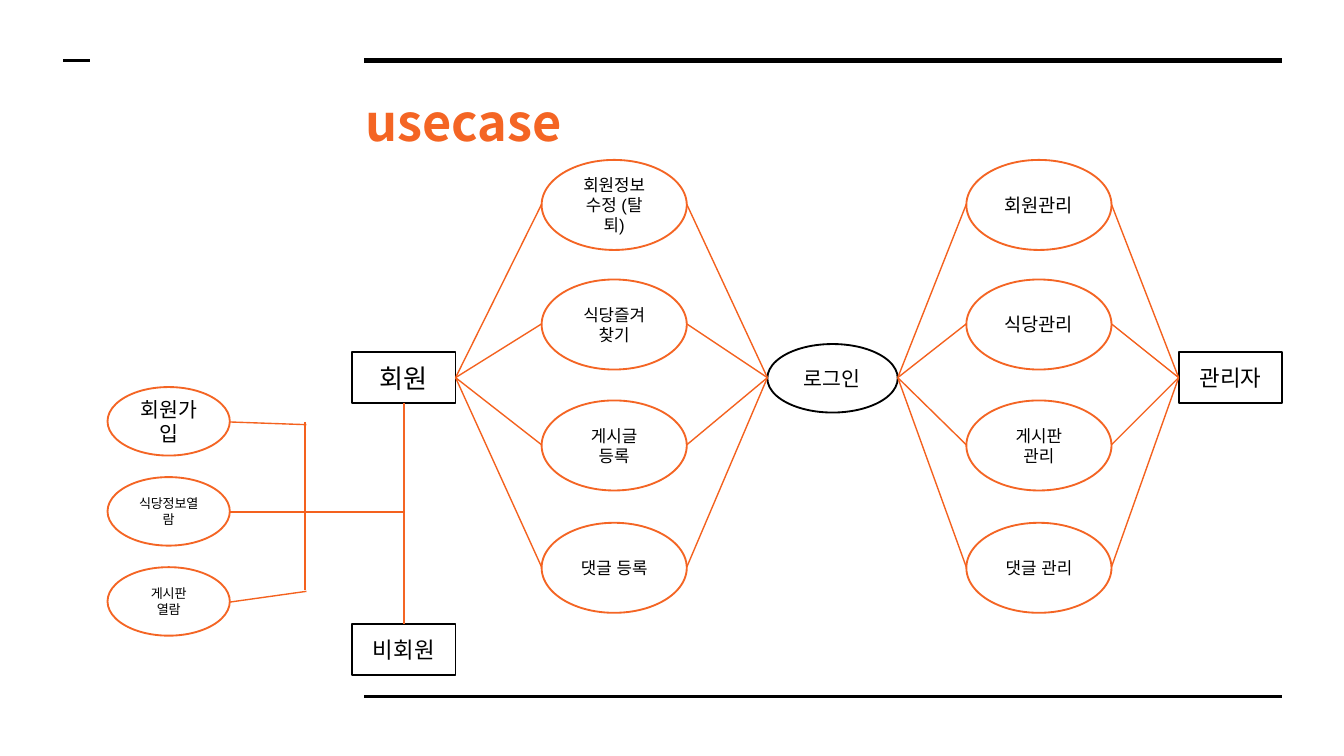
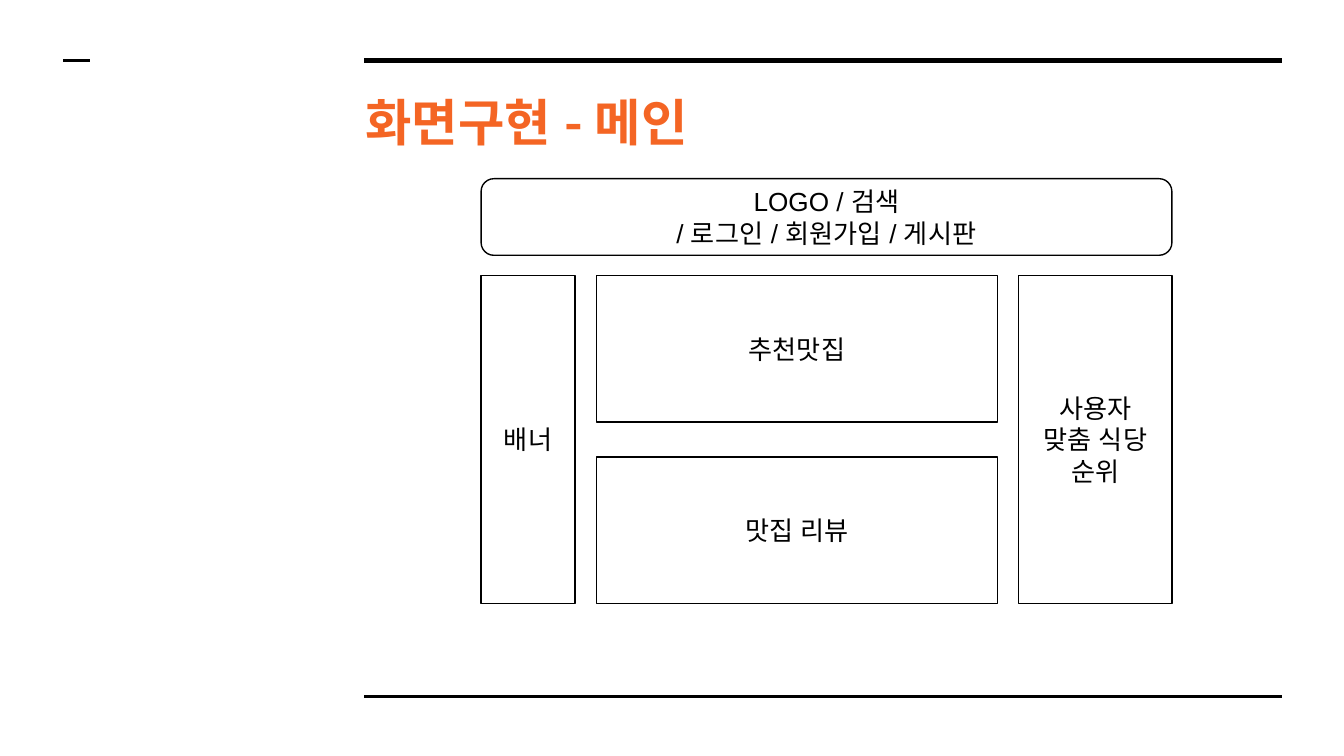
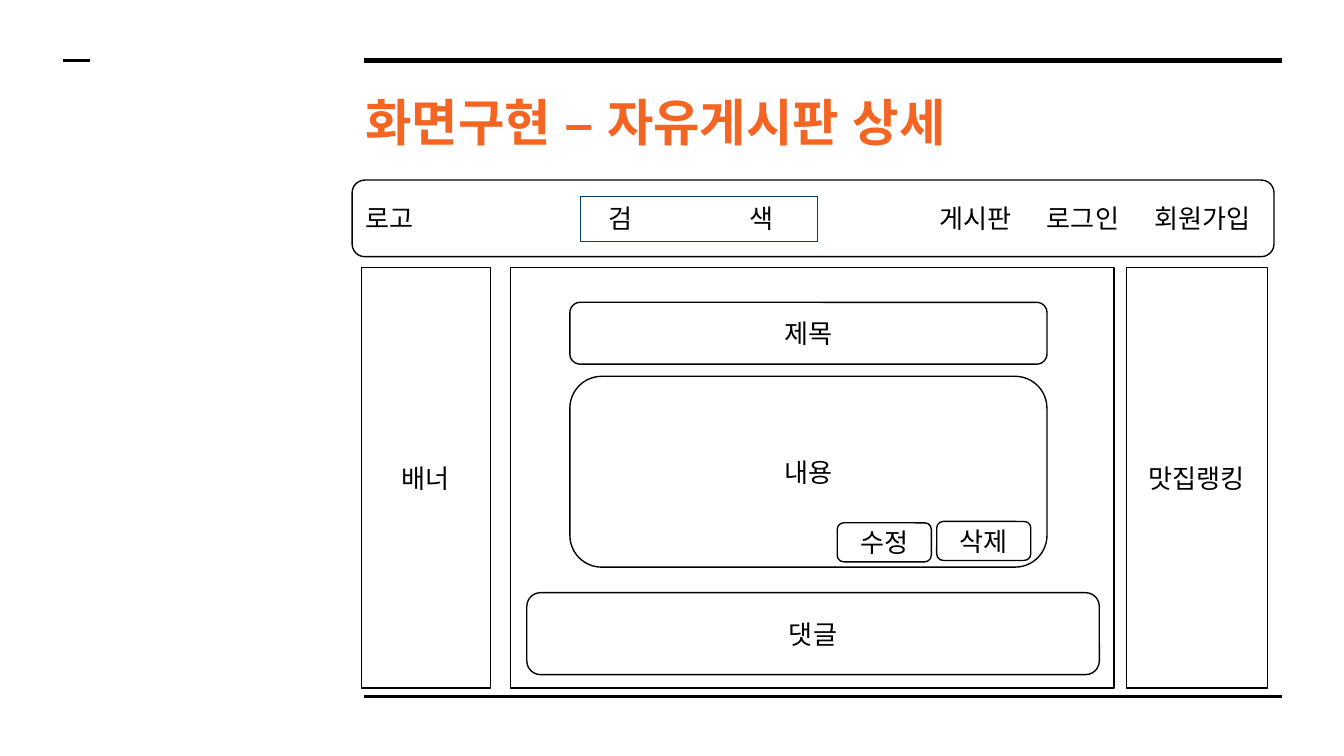
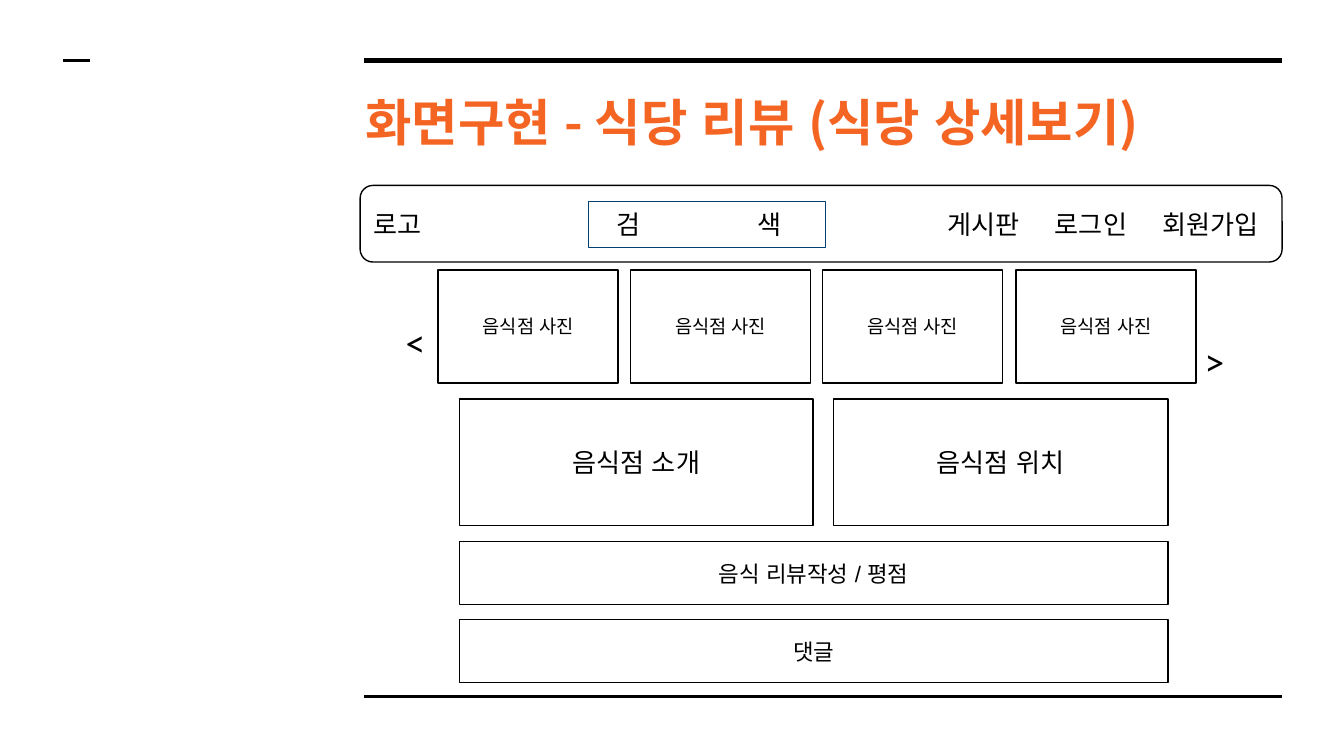
from dataclasses import dataclass

import pptx
import pptx.dml.color
import pptx.enum.shapes
import pptx.enum.text
import pptx.oxml.ns
import pptx.util
from lxml import etree

EMU_PER_PX = 9144  # 100 px to the inch
SHAPE = pptx.enum.shapes.MSO_SHAPE
ANCHOR = pptx.enum.text.MSO_ANCHOR
ALIGN = pptx.enum.text.PP_ALIGN
TOP, LEFT, BOTTOM, RIGHT = range(4)  # connection sites of a rectangle


@dataclass(frozen=True)
class Theme:
    ink: str = "000000"
    paper: str = "FFFFFF"
    accent: str = "F46524"
    link: str = "F4611E"
    search: str = "014073"
    title_font: str = "Noto Sans CJK KR"
    body_font: str = "Arial"
    arrow_font: str = "Lato"
    title_size: int = 27
    arrow_size: int = 20
    body_size: int = 14
    medium_size: int = 12
    node_size: int = 11
    small_size: int = 10
    case_size: int = 9
    tiny_size: int = 7
    heavy: float = 3
    rule: float = 1.5
    node_line: float = 1
    thin: float = 0.75
    hair: float = 0.5


THEME = Theme()


def px(length):
    return pptx.util.Emu(round(length * EMU_PER_PX))


def rgb(code):
    return pptx.dml.color.RGBColor.from_string(code)


# Text

def add_run(paragraph, text, size, font, color=THEME.ink, bold=False):
    run = paragraph.add_run()
    run.text = text
    run.font.size = pptx.util.Pt(size)
    run.font.name = font
    run.font.bold = bold
    run.font.color.rgb = rgb(color)
    east_asian = etree.SubElement(run.font._element, pptx.oxml.ns.qn("a:ea"))
    east_asian.set("typeface", THEME.body_font)


def set_insets(frame, side, edge):
    frame.margin_left = frame.margin_right = px(side)
    frame.margin_top = frame.margin_bottom = px(edge)


def add_label(slide, text, left, top, width, height=34, size=THEME.body_size,
              font=THEME.body_font, tab=None):
    box = slide.shapes.add_textbox(px(left), px(top), px(width), px(height))
    frame = box.text_frame
    frame.word_wrap = False
    set_insets(frame, 10, 5)
    paragraph = frame.paragraphs[0]
    if tab:
        properties = paragraph._p.get_or_add_pPr()
        stops = etree.SubElement(properties, pptx.oxml.ns.qn("a:tabLst"))
        etree.SubElement(stops, pptx.oxml.ns.qn("a:tab"), pos=str(px(tab)), algn="l")
    add_run(paragraph, text, size, font)
    return box


# Shapes and lines

def add_block(slide, bounds, text="", kind=SHAPE.RECTANGLE, size=THEME.body_size,
              fill=None, line=THEME.ink, weight=THEME.thin, edge=10):
    block = slide.shapes.add_shape(kind, *map(px, bounds))
    block.shadow.inherit = False
    if fill:
        block.fill.solid()
        block.fill.fore_color.rgb = rgb(fill)
    else:
        block.fill.background()
    block.line.color.rgb = rgb(line)
    block.line.width = pptx.util.Pt(weight)
    frame = block.text_frame
    frame.word_wrap = True
    frame.vertical_anchor = ANCHOR.MIDDLE
    set_insets(frame, 10, edge)
    for index, words in enumerate(text.split("\n") if text else []):
        paragraph = frame.add_paragraph() if index else frame.paragraphs[0]
        paragraph.alignment = ALIGN.CENTER
        add_run(paragraph, words, size, THEME.body_font)
    return block


def add_node(slide, bounds, text, size, kind=SHAPE.OVAL, line=THEME.accent):
    return add_block(slide, bounds, text, kind, size, THEME.paper, line,
                     THEME.node_line, edge=5)


def add_panel(slide, bounds, text):
    return add_block(slide, bounds, text, SHAPE.ROUNDED_RECTANGLE,
                     fill=THEME.paper, edge=5)


def add_line(slide, start, end, color=THEME.link, weight=THEME.thin):
    line = slide.shapes.add_connector(
        pptx.enum.shapes.MSO_CONNECTOR.STRAIGHT, *map(px, start + end))
    line.line.color.rgb = rgb(color)
    line.line.width = pptx.util.Pt(weight)
    etree.SubElement(line._element.spPr, pptx.oxml.ns.qn("a:effectLst"))
    return line


def add_fan(slide, hub, points, actor=None, side=None):
    """Join one hub to several points; an actor box holds its end."""
    for point in points:
        line = add_line(slide, hub, point)
        if actor is not None:
            line.begin_connect(actor, side)


# Parts that slides share

def start_slide(deck, title):
    slide = deck.slides.add_slide(deck.slide_layouts[6])
    for left, right, y, weight in ((271, 954, 45, THEME.heavy),
                                   (271, 954, 518, THEME.rule),
                                   (47, 67, 45, THEME.rule)):
        add_line(slide, (left, y), (right, y), THEME.ink, weight)
    heading = slide.shapes.add_textbox(px(262), px(63), px(691), px(69))
    frame = heading.text_frame
    frame.word_wrap = True
    frame.vertical_anchor = ANCHOR.TOP
    set_insets(frame, 10, 10)
    frame.paragraphs[0].line_spacing = 0.9
    add_run(frame.paragraphs[0], title, THEME.title_size, THEME.title_font,
            THEME.accent, bold=True)
    return slide


def add_navigation(slide, left, top):
    row = top + 12
    add_block(slide, (left + 170, row, 176, 34), fill=THEME.paper,
              line=THEME.search, weight=THEME.hair)
    add_block(slide, (left, top, 686, 57), kind=SHAPE.ROUNDED_RECTANGLE)
    for text, offset, width in (("로고", 0, 59), ("게시판", 427, 79),
                                ("로그인", 507, 79), ("회원가입", 587, 99)):
        add_label(slide, text, left + offset, row, width)
    add_label(slide, "검\t색", left + 181, row, 146, tab=105)


# Slides

def build_usecase(deck):
    slide = start_slide(deck, "usecase")

    # Actors and login
    member, manager, guest = [
        add_node(slide, (left, top, 77, 38), text, size, SHAPE.RECTANGLE, THEME.ink)
        for text, left, top, size in (("회원", 262, 262, THEME.body_size),
                                      ("관리자", 877, 262, THEME.medium_size),
                                      ("비회원", 262, 464, THEME.medium_size))]
    add_node(slide, (571, 256, 97, 51), "로그인", THEME.node_size, line=THEME.ink)

    # Cases open to everyone
    open_cases = (("회원가입", THEME.node_size), ("식당정보열람", THEME.tiny_size),
                  ("게시판 열람", THEME.tiny_size))
    for index, (text, size) in enumerate(open_cases):
        add_node(slide, (80, 288 + 67 * index, 91, 51), text, size)

    # Cases of members and managers
    case_tops = (119, 208, 298, 389)
    case_width, case_height = 108, 67
    member_left, manager_left = 403, 719
    member_cases = (("회원정보수정 (탈퇴)", THEME.case_size),
                    ("식당즐겨찾기", THEME.case_size),
                    ("게시글 등록", THEME.case_size), ("댓글 등록", THEME.case_size))
    manager_cases = (("회원관리", THEME.small_size), ("식당관리", THEME.small_size),
                     ("게시판 관리", THEME.case_size), ("댓글 관리", THEME.case_size))
    for left, cases in ((member_left, member_cases), (manager_left, manager_cases)):
        for top, (text, size) in zip(case_tops, cases):
            add_node(slide, (left, top, case_width, case_height), text, size)

    # Links of the open cases
    trunk = add_line(slide, (301, 300), (301, 464), THEME.accent)
    trunk.begin_connect(member, BOTTOM)
    trunk.end_connect(guest, TOP)
    for start, end in (((171, 381), (301, 381)), ((171, 314), (228, 316)),
                       ((227, 314), (227, 439)), ((171, 448), (228, 440))):
        add_line(slide, start, end)

    # Fans between actors, cases and login
    def case_sides(x):
        return [(x, top + case_height // 2) for top in case_tops]

    add_fan(slide, (339, 281), case_sides(member_left), member, RIGHT)
    add_fan(slide, (571, 281), case_sides(member_left + case_width))
    add_fan(slide, (668, 281), case_sides(manager_left))
    add_fan(slide, (877, 281), case_sides(manager_left + case_width), manager, LEFT)


def build_main_screen(deck):
    slide = start_slide(deck, "화면구현 - 메인")
    add_block(slide, (358, 133, 514, 57),
              "LOGO / 검색\n/ 로그인 / 회원가입 / 게시판", SHAPE.ROUNDED_RECTANGLE)
    for text, *bounds in (("맛집 리뷰", 444, 340, 298, 109),
                          ("사용자 맞춤 식당 순위", 758, 205, 114, 244),
                          ("배너", 358, 205, 70, 244),
                          ("추천맛집", 444, 205, 298, 109)):
        add_block(slide, bounds, text)


def build_board_detail(deck):
    slide = start_slide(deck, "화면구현 – 자유게시판 상세")
    # Columns
    for text, left, width in (("", 380, 449), ("맛집랭킹", 838, 105), ("배너", 269, 96)):
        add_block(slide, (left, 199, width, 313), text)
    add_navigation(slide, 262, 134)
    # Post, its buttons and comments
    for text, *bounds in (("댓글", 392, 441, 426, 61), ("제목", 424, 225, 355, 46),
                          ("내용", 424, 280, 355, 142), ("수정", 623, 389, 70, 29),
                          ("삭제", 697, 388, 70, 29)):
        add_panel(slide, bounds, text)


def build_restaurant_review(deck):
    slide = start_slide(deck, "화면구현 - 식당 리뷰 (식당 상세보기)")
    add_navigation(slide, 268, 138)
    # Photo strip
    for index in range(4):
        add_block(slide, (326 + index * 430 // 3, 201, 134, 84), "음식점 사진",
                  size=THEME.small_size)
    for text, left, top in (("<", 291, 228), (">", 886, 242)):
        arrow = add_label(slide, text, left, top, 51, 31, THEME.arrow_size,
                          THEME.arrow_font)
        arrow.text_frame.word_wrap = True
        set_insets(arrow.text_frame, 10, 10)
    # Details
    for text, size, *bounds in (
            ("음식점 소개", THEME.body_size, 342, 297, 263, 94),
            ("음식점 위치", THEME.body_size, 620, 297, 249, 94),
            ("음식 리뷰작성 / 평점", THEME.medium_size, 342, 403, 527, 47),
            ("댓글", THEME.medium_size, 342, 461, 527, 47)):
        add_block(slide, bounds, text, size=size)


def main():
    deck = pptx.Presentation()
    deck.slide_width = px(1000)
    deck.slide_height = deck.slide_width * 9 // 16
    build_usecase(deck)
    build_main_screen(deck)
    build_board_detail(deck)
    build_restaurant_review(deck)
    deck.save("out.pptx")


if __name__ == "__main__":
    main()
